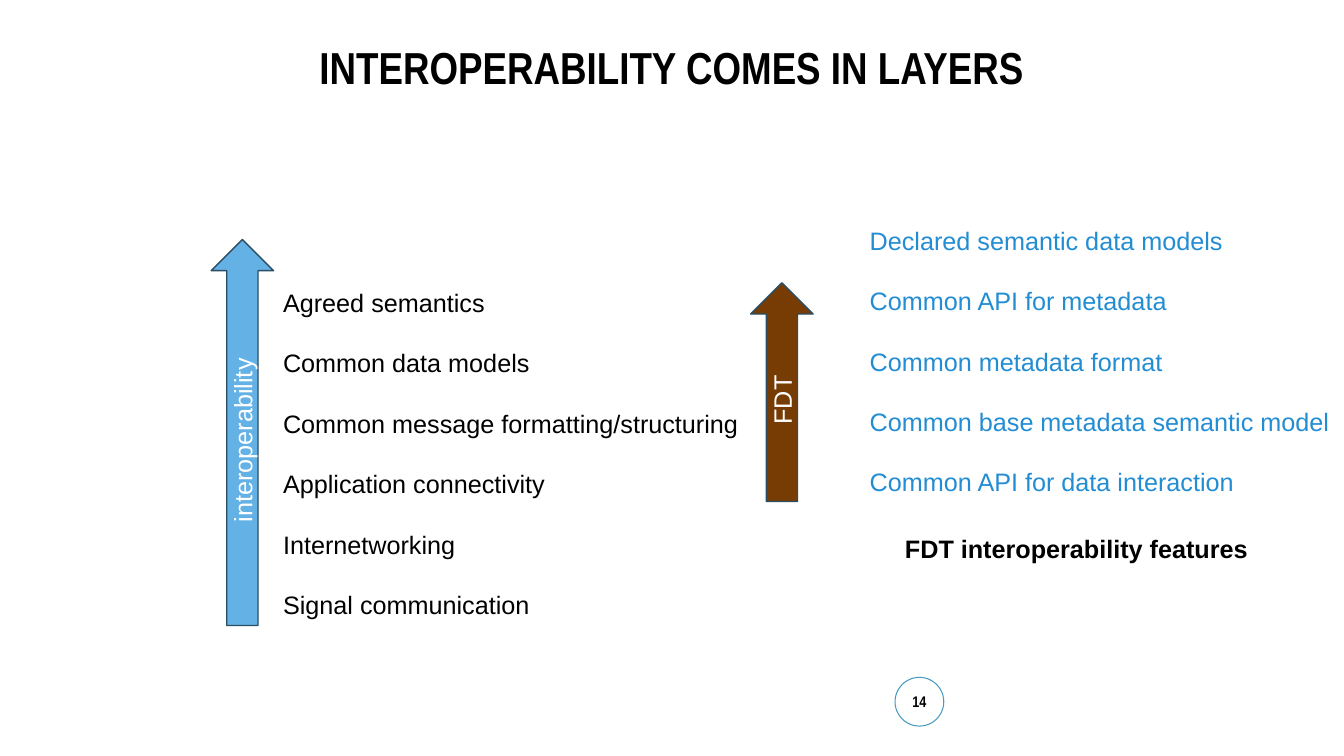
from collections import namedtuple

from pptx import Presentation
from pptx.dml.color import RGBColor
from pptx.enum.shapes import MSO_SHAPE
from pptx.enum.text import MSO_ANCHOR, MSO_AUTO_SIZE, PP_ALIGN
from pptx.util import Inches, Pt

BLACK = RGBColor(0x00, 0x00, 0x00)
WHITE = RGBColor(0xFF, 0xFF, 0xFF)
LAYER_BLUE = RGBColor(0x23, 0x8D, 0xD3)
ARROW_BLUE = RGBColor(0x63, 0xB1, 0xE5)
ARROW_BROWN = RGBColor(0x76, 0x3C, 0x04)
ARROW_EDGE = RGBColor(0x2B, 0x4E, 0x64)
BADGE_EDGE = RGBColor(0x46, 0x9B, 0xC0)

CENTER = PP_ALIGN.CENTER
TOP, MIDDLE, BOTTOM = MSO_ANCHOR.TOP, MSO_ANCHOR.MIDDLE, MSO_ANCHOR.BOTTOM
RIGHT_ARROW, OVAL = MSO_SHAPE.RIGHT_ARROW, MSO_SHAPE.OVAL
NO_AUTOFIT = MSO_AUTO_SIZE.NONE

# The slide is a grid of 160 columns by 90 rows of square cells.
CELL = Inches(7.5) // 90
ARROW_THICKNESS = 7.44

Box = namedtuple("Box", "left top width height")

INTEROPERABILITY_LAYERS = [
    "Agreed semantics",
    "Common data models",
    "Common message formatting/structuring",
    "Application connectivity",
    "Internetworking",
    "Signal communication",
]
FDT_LAYERS = [
    "Declared semantic data models",
    "Common API for metadata",
    "Common metadata format",
    "Common base metadata semantic model",
    "Common API for data interaction",
]


def cells(box):
    return [round(length * CELL) for length in box]


def write(frame, lines, color, size=18, font="Arial", bold=False,
          align=None, spacing=None):
    frame.text = "\n".join(lines)
    for paragraph in frame.paragraphs:
        paragraph.alignment = align
        paragraph.line_spacing = spacing
        for run in paragraph.runs:
            run.font.name = font
            run.font.size = Pt(size)
            run.font.bold = bold
            run.font.color.rgb = color


def add_outlined(slide, preset, box, fill, edge, weight):
    shape = slide.shapes.add_shape(preset, *cells(box))
    shape.shadow.inherit = False
    shape.fill.solid()
    shape.fill.fore_color.rgb = fill
    shape.line.color.rgb = edge
    shape.line.width = Pt(weight)
    shape.text_frame.vertical_anchor = MIDDLE
    return shape


def add_title(slide, box):
    title = slide.shapes.title
    title.left, title.top, title.width, title.height = cells(box)
    frame = title.text_frame
    frame.auto_size = NO_AUTOFIT
    frame.vertical_anchor = TOP
    write(frame, ["INTEROPERABILITY COMES IN LAYERS"], BLACK, 32,
          "Arial Narrow", True, CENTER, 0.9)


def add_text(slide, box, lines, color, anchor=TOP, **style):
    frame = slide.shapes.add_textbox(*cells(box)).text_frame
    frame.word_wrap = False
    frame.vertical_anchor = anchor
    write(frame, lines, color, **style)


def add_up_arrow(slide, box, label, fill):
    """Turn a right arrow upwards so that it fills the upright box."""
    lying = Box(box.left + (box.width - box.height) / 2,
                box.top + (box.height - box.width) / 2,
                box.height, box.width)
    arrow = add_outlined(slide, RIGHT_ARROW, lying, fill, ARROW_EDGE, 1)
    arrow.rotation = 270
    write(arrow.text_frame, [label], WHITE, align=CENTER)


def add_layer_stack(slide, box, layers, color, label, fill,
                    arrow_shift, arrow_drop, arrow_height):
    """List the layers in the box, with the arrow placed from its corner."""
    add_text(slide, box, layers, color, BOTTOM, spacing=2.0)
    arrow_box = Box(box.left - arrow_shift, box.top + arrow_drop,
                    ARROW_THICKNESS, arrow_height)
    add_up_arrow(slide, arrow_box, label, fill)


def add_page_badge(slide, box, number):
    badge = add_outlined(slide, OVAL, box, WHITE, BADGE_EDGE, 0.75)
    frame = badge.text_frame
    frame.margin_left = frame.margin_right = 0
    write(frame, [number], BLACK, 11, "Arial Narrow", True, CENTER)


def main():
    deck = Presentation()
    deck.slide_width, deck.slide_height = 160 * CELL, 90 * CELL
    slide = deck.slides.add_slide(deck.slide_layouts[5])

    add_title(slide, Box(11, 4.8, 138, 17.4))
    add_page_badge(slide, Box(106.56, 80.64, 5.8, 5.8), "14")
    add_layer_stack(slide, Box(32.52, 30.72, 57.12, 43.68),
                    INTEROPERABILITY_LAYERS, BLACK,
                    "interoperability", ARROW_BLUE, 7.38, -2.22, 45.96)
    add_layer_stack(slide, Box(102.36, 23.28, 57.6, 36.48),
                    FDT_LAYERS, LAYER_BLUE,
                    "FDT", ARROW_BROWN, 13, 10.38, 26.04)
    add_text(slide, Box(106.56, 62.88, 43.68, 4.8),
             ["FDT interoperability features"], BLACK, bold=True)

    deck.save("out.pptx")


if __name__ == "__main__":
    main()
